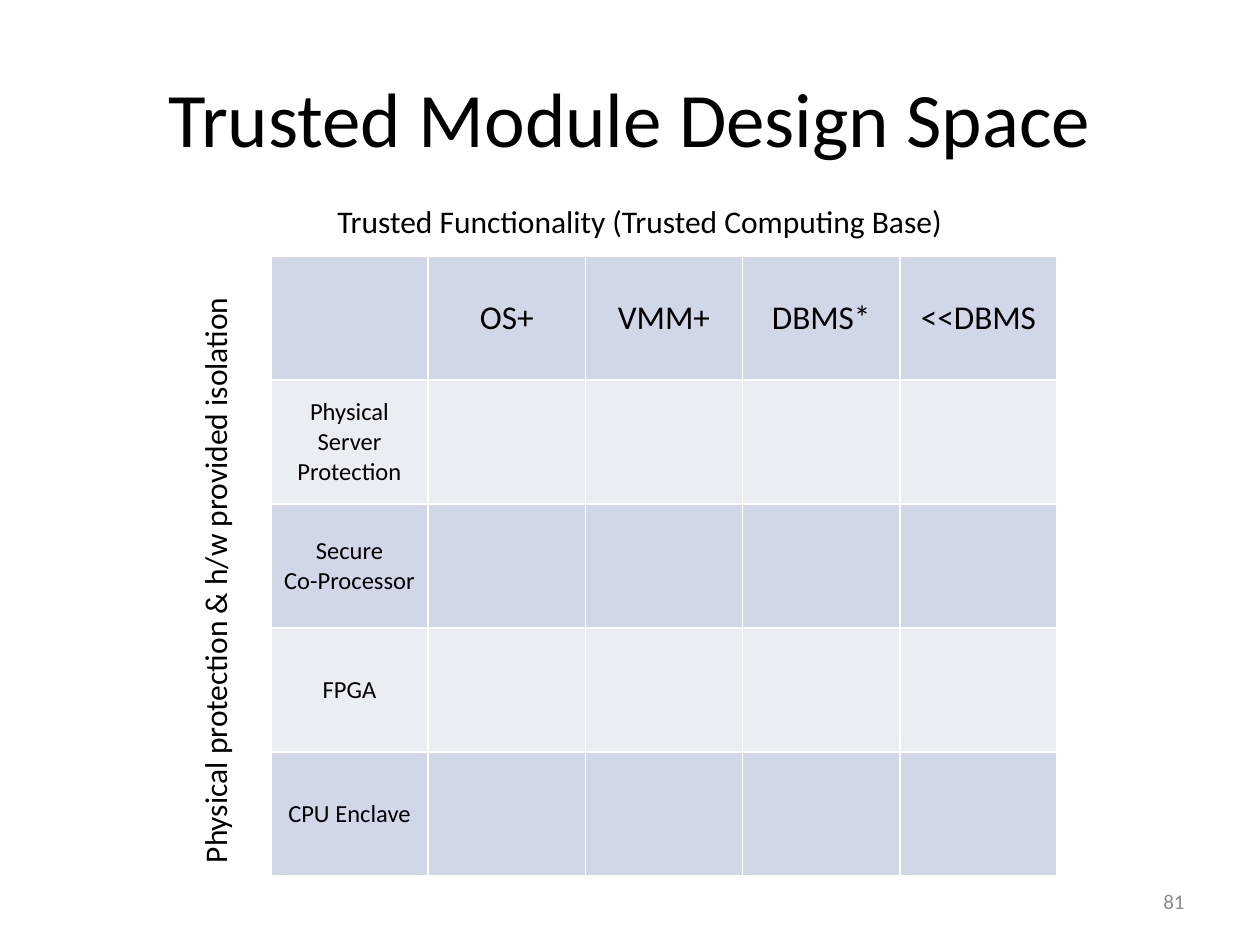
from lxml import etree
from pptx import Presentation
from pptx import util as u
from pptx.dml import color
from pptx.enum import text
from pptx.oxml import ns

COLUMNS = ["", "OS+", "VMM+", "DBMS*", "<<DBMS"]
PROTECTIONS = ["Physical\vServer\vProtection", "Secure\vCo-Processor", "FPGA", "CPU Enclave"]
BANDS = ["D0D8E8", "E9EDF4"]
CENTER, RIGHT, LEFT = text.PP_ALIGN.CENTER, text.PP_ALIGN.RIGHT, text.PP_ALIGN.LEFT
MIDDLE, TOP = text.MSO_ANCHOR.MIDDLE, text.MSO_ANCHOR.TOP


def rgb(code):
    """Turn a hex string into a colour."""
    return color.RGBColor.from_string(code)


def apply(target, values):
    """Set each attribute in a dict of format values."""
    for name, value in values.items():
        setattr(target, name, value)


def write(frame, wording, size, align, ink="000000"):
    """Fill a text frame with one formatted paragraph."""
    paragraph = frame.paragraphs[0]
    paragraph.text = wording
    paragraph.alignment = align
    for run in paragraph.runs:
        apply(run.font, {"name": "Calibri", "size": u.Pt(size)})
        run.font.color.rgb = rgb(ink)


def add_label(slide, place, wording, size, align=LEFT, anchor=TOP, wrap=False, turn=0, ink="000000"):
    """Add a text box at a place given in centimetres."""
    label = slide.shapes.add_textbox(*map(u.Cm, place))
    label.rotation = turn
    apply(label.text_frame, {"word_wrap": wrap, "vertical_anchor": anchor})
    write(label.text_frame, wording, size, align, ink)


def add_borders(cell, ink="FFFFFF", points=1):
    """Draw a line on all four sides of a cell."""
    properties = cell._tc.get_or_add_tcPr()
    for position, side in enumerate(("lnL", "lnR", "lnT", "lnB")):
        line = etree.Element(ns.qn(f"a:{side}"), w=str(u.Pt(points)))
        fill = etree.SubElement(line, ns.qn("a:solidFill"))
        etree.SubElement(fill, ns.qn("a:srgbClr"), val=ink)
        properties.insert(position, line)


def add_design_grid(slide):
    """Add the table of protections against trusted functionality."""
    rows = [COLUMNS] + [[name] + [""] * (len(COLUMNS) - 1) for name in PROTECTIONS]
    place = map(u.Cm, (5.46, 5.16, 15.85, 12.5))
    grid = slide.shapes.add_table(len(rows), len(COLUMNS), *place).table
    for row, names in enumerate(rows):
        for column, name in enumerate(names):
            cell = grid.cell(row, column)
            cell.vertical_anchor = MIDDLE
            cell.fill.solid()
            cell.fill.fore_color.rgb = rgb(BANDS[row % 2])
            add_borders(cell)
            write(cell.text_frame, name, 14 if row else 19, CENTER)


def main():
    """Build and save the slide."""
    deck = Presentation()
    apply(deck, {"slide_width": u.Cm(25.4), "slide_height": u.Cm(19.05)})
    slide = deck.slides.add_slide(deck.slide_layouts[6])
    add_label(slide, (1.27, 0.76, 22.86, 3.18), "Trusted Module Design Space", 44, CENTER, MIDDLE, True)
    add_label(slide, (18.2, 17.66, 5.93, 1.01), "81", 12, RIGHT, MIDDLE, True, ink="8C8C8C")
    add_design_grid(slide)
    add_label(slide, (6.55, 3.94, 12.85, 1.03), "Trusted Functionality (Trusted Computing Base)", 18)
    add_label(slide, (-1.7, 11.1, 12.07, 1.03), "Physical protection & h/w provided isolation", 18, turn=270)
    deck.save("out.pptx")


if __name__ == "__main__":
    main()
